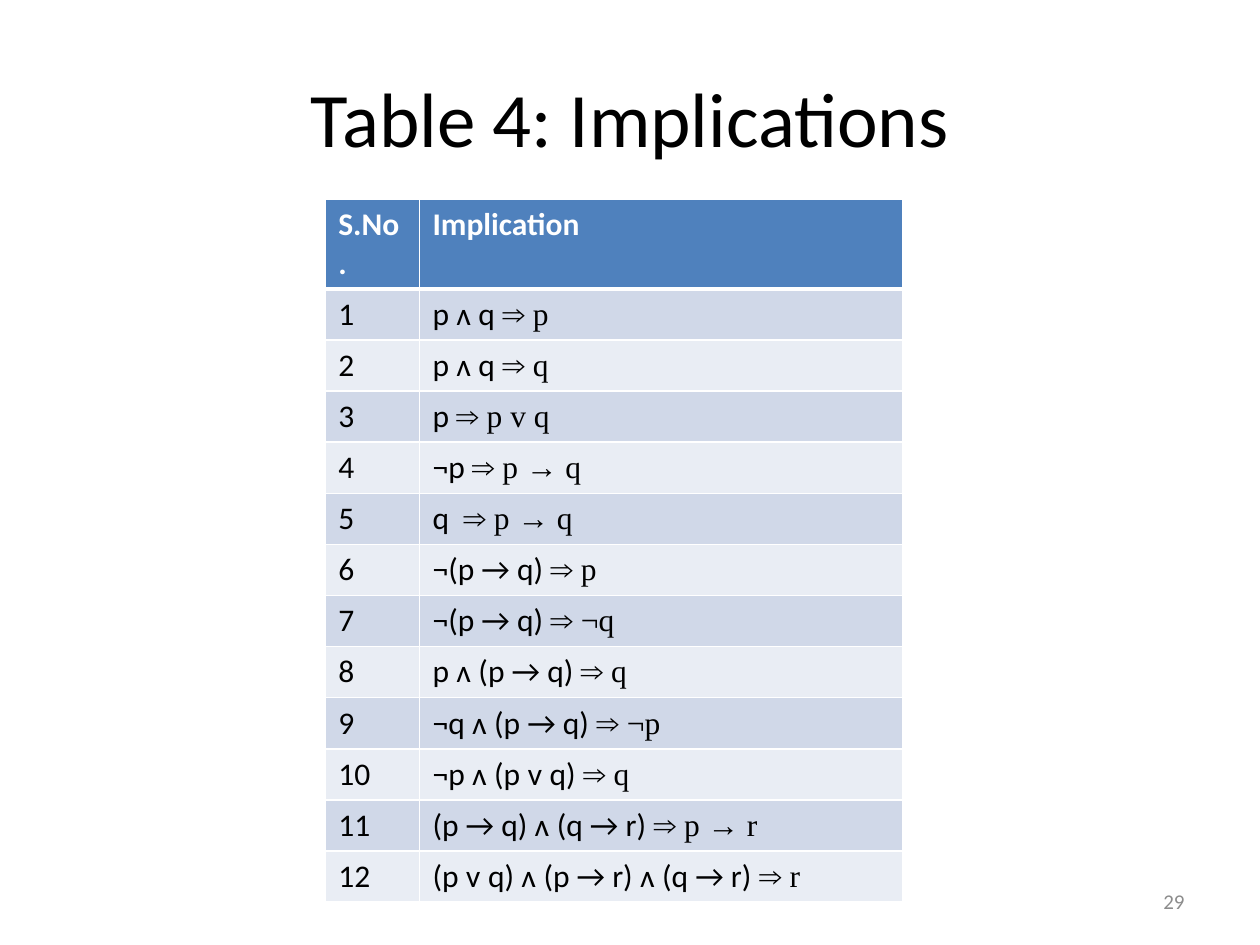
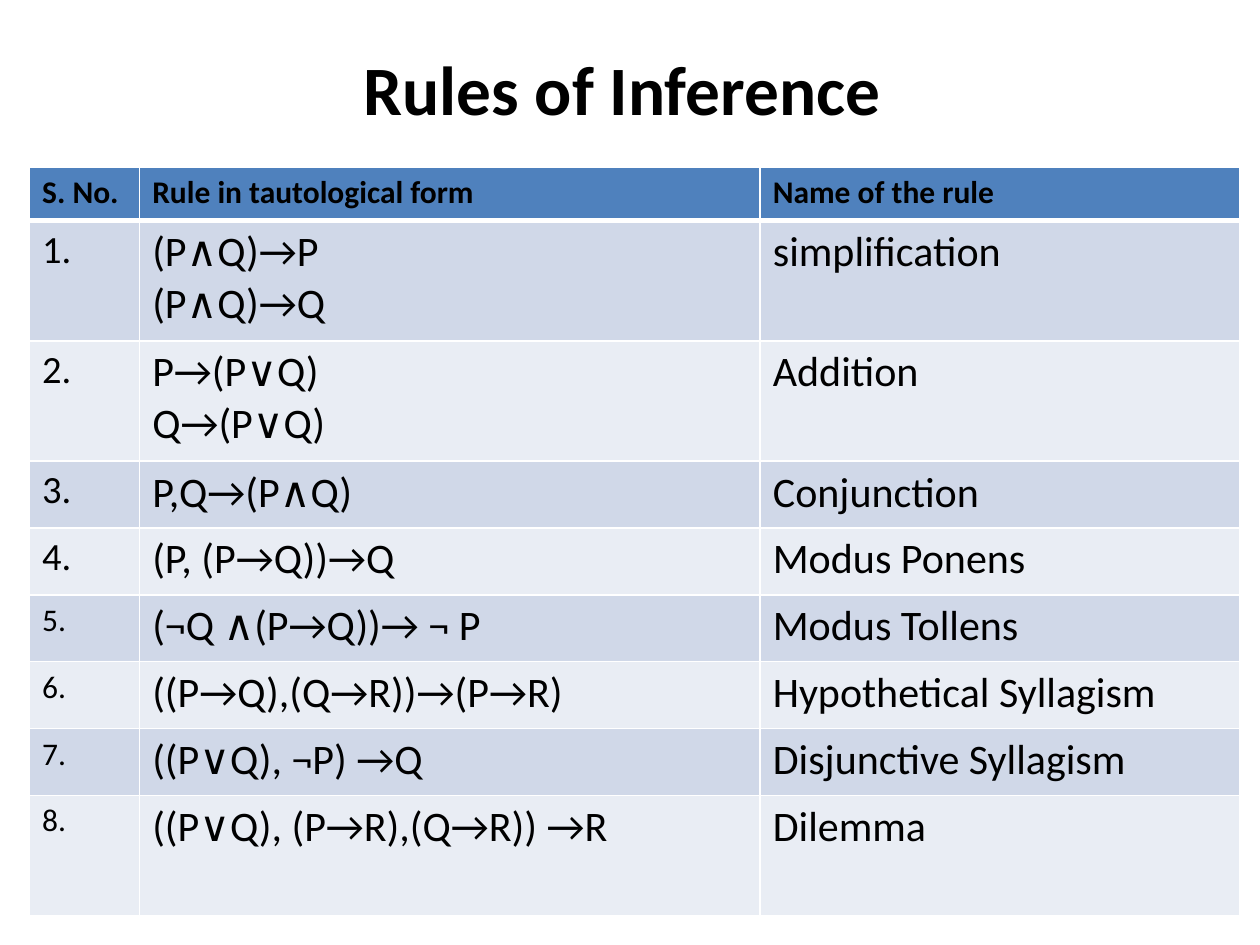
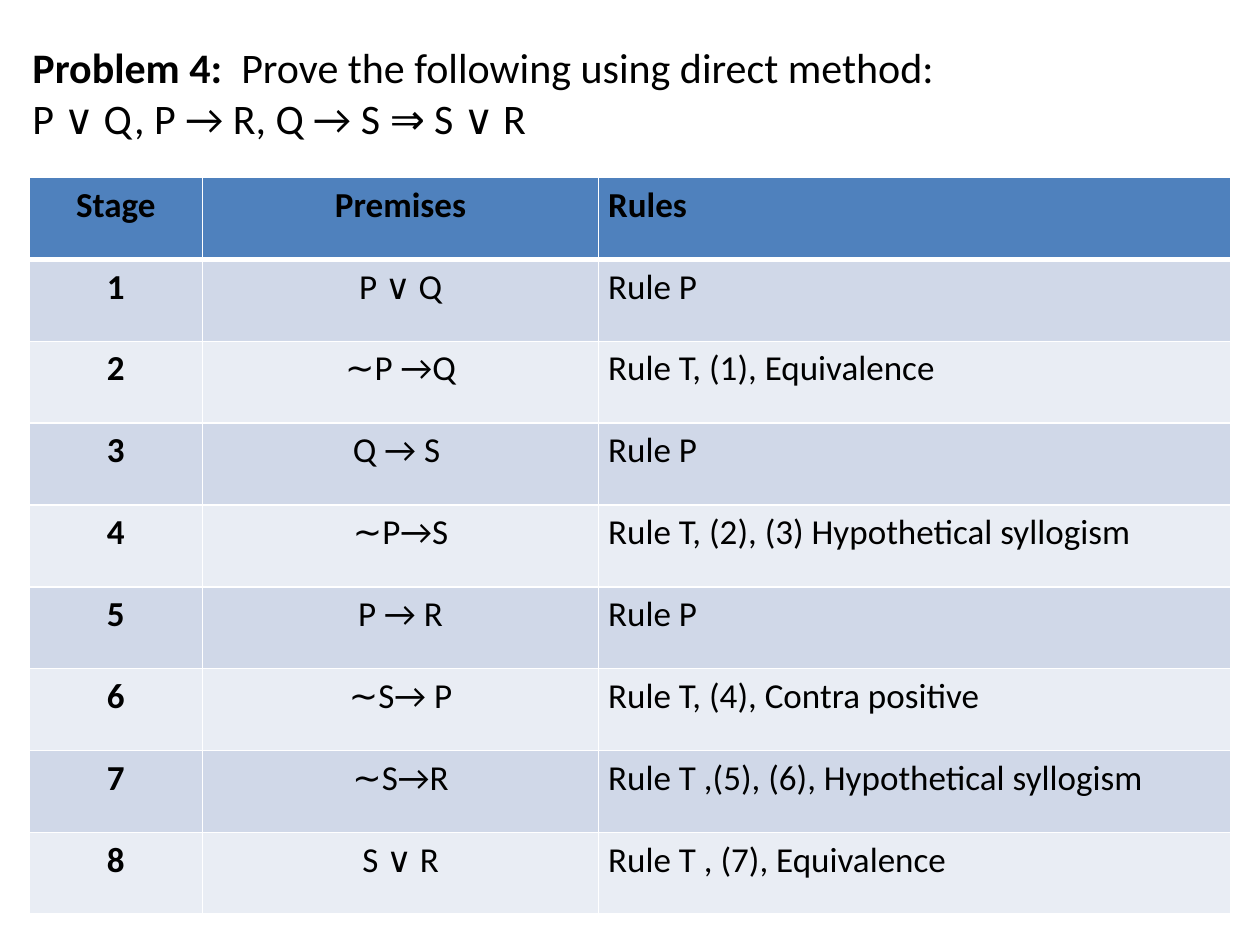
from lxml import etree
from pptx import Presentation
from pptx.dml.color import RGBColor
from pptx.enum.text import MSO_ANCHOR, MSO_AUTO_SIZE, PP_ALIGN
from pptx.oxml.ns import qn
from pptx.util import Cm, Pt

LEFT, CENTER = PP_ALIGN.LEFT, PP_ALIGN.CENTER
RIGHT, JUSTIFY = PP_ALIGN.RIGHT, PP_ALIGN.JUSTIFY
MIDDLE = MSO_ANCHOR.MIDDLE
NO_AUTOFIT = MSO_AUTO_SIZE.NONE

SANS, SERIF = "Calibri", "Times New Roman"
BLACK, WHITE, GREY = "000000", "FFFFFF", "8C8C8C"
HEADER_FILL = "4F81BD"
BAND_FILLS = ("D0D8E8", "E9EDF4")
TITLE_ONLY = 5

IMPLICATIONS = [
    "p ᴧ q ⇒ p",
    "p ᴧ q ⇒ q",
    "p ⇒ p ᴠ q",
    "¬p ⇒ p → q",
    "q  ⇒ p → q",
    "¬(p → q) ⇒ p",
    "¬(p → q) ⇒ ¬q",
    "p ᴧ (p → q) ⇒ q",
    "¬q ᴧ (p → q) ⇒ ¬p",
    "¬p ᴧ (p ᴠ q) ⇒ q",
    "(p → q) ᴧ (q → r) ⇒ p → r",
    "(p ᴠ q) ᴧ (p → r) ᴧ (q → r) ⇒ r",
]

INFERENCE_RULES = [
    ("(P∧Q)→P\n(P∧Q)→Q", "simplification"),
    ("P→(P∨Q)\nQ→(P∨Q)", "Addition"),
    ("P,Q→(P∧Q)", "Conjunction"),
    ("(P, (P→Q))→Q", "Modus Ponens"),
    ("(¬Q ∧(P→Q))→ ¬ P", "Modus Tollens"),
    ("((P→Q),(Q→R))→(P→R)", "Hypothetical Syllagism"),
    ("((P∨Q), ¬P) →Q", "Disjunctive Syllagism"),
    ("((P∨Q), (P→R),(Q→R)) →R", "Dilemma"),
]

PROOF_STEPS = [
    ("P ∨ Q", "Rule P"),
    ("∼P →Q", "Rule T, (1), Equivalence"),
    ("Q → S ", "Rule P"),
    ("∼P→S", "Rule T, (2), (3) Hypothetical syllogism"),
    ("P → R", "Rule P"),
    ("∼S→ P", "Rule T, (4), Contra positive"),
    ("∼S→R", "Rule T ,(5), (6), Hypothetical syllogism"),
    ("S ∨ R", "Rule T , (7), Equivalence"),
]


# Shared helpers
def colour(hex_string):
    return RGBColor.from_string(hex_string)


def add_run(paragraph, text, size, hex_string=BLACK, bold=False, font=SANS):
    run = paragraph.add_run()
    run.text = text
    run.font.size = Pt(size)
    run.font.name = font
    run.font.bold = bold
    run.font.color.rgb = colour(hex_string)


def next_paragraph(text_frame, index, align):
    paragraph = text_frame.paragraphs[0] if index == 0 else text_frame.add_paragraph()
    paragraph.alignment = align
    return paragraph


def add_title_slide(presentation, box, lines, size, align=CENTER):
    """Each title line is a list of (text, bold) runs."""
    slide = presentation.slides.add_slide(presentation.slide_layouts[TITLE_ONLY])
    title = slide.shapes.title
    title.left, title.top, title.width, title.height = (Cm(value) for value in box)
    text_frame = title.text_frame
    text_frame.auto_size = NO_AUTOFIT
    text_frame.vertical_anchor = MIDDLE
    for index, runs in enumerate(lines):
        paragraph = next_paragraph(text_frame, index, align)
        for text, bold in runs:
            add_run(paragraph, text, size, bold=bold)
    return slide


def add_page_number(slide, box, number):
    text_frame = slide.shapes.add_textbox(*(Cm(value) for value in box)).text_frame
    text_frame.word_wrap = True
    text_frame.vertical_anchor = MIDDLE
    add_run(next_paragraph(text_frame, 0, RIGHT), number, 12, GREY)


# Tables
def set_borders(cell, bottom_width):
    properties = cell._tc.get_or_add_tcPr()
    for side, width in (("L", 1), ("R", 1), ("T", 1), ("B", bottom_width)):
        line = etree.SubElement(properties, qn(f"a:ln{side}"), w=str(Pt(width)))
        fill = etree.SubElement(line, qn("a:solidFill"))
        etree.SubElement(fill, qn("a:srgbClr"), val=WHITE)


def fill_cell(cell, text, align, **style):
    for index, line in enumerate(text.split("\n")):
        paragraph = next_paragraph(cell.text_frame, index, align)
        add_run(paragraph, line, **style)


def add_banded_table(slide, left, top, column_widths, row_heights, margin=0.26):
    frame = slide.shapes.add_table(
        len(row_heights), len(column_widths), Cm(left), Cm(top),
        Cm(sum(column_widths)), Cm(sum(row_heights)))
    table = frame.table
    table.horz_banding = False
    for column, width in zip(table.columns, column_widths):
        column.width = Cm(width)
    for index, (row, height) in enumerate(zip(table.rows, row_heights)):
        row.height = Cm(height)
        for cell in row.cells:
            cell.margin_left = cell.margin_right = Cm(margin)
            set_borders(cell, 3 if index == 0 else 1)
            cell.fill.solid()
            cell.fill.fore_color.rgb = colour(
                HEADER_FILL if index == 0 else BAND_FILLS[(index - 1) % 2])
    return table


def fill_header(table, names, aligns, size, hex_string=BLACK):
    for cell, name, align in zip(table.rows[0].cells, names, aligns):
        fill_cell(cell, name, align, size=size, hex_string=hex_string, bold=True)


# Slides
def build_implications(presentation):
    slide = add_title_slide(presentation, (1.27, 0.76, 22.86, 3.18),
                            [[("Table 4: Implications", False)]], 44)
    # The narrow first column wraps its heading onto two lines
    table = add_banded_table(slide, 6.56, 4.02, (1.9, 9.73),
                             [1.79] + [1.03] * len(IMPLICATIONS))
    fill_header(table, ("S.No.", "Implication"), (LEFT, LEFT), 18, WHITE)
    for number, implication in enumerate(IMPLICATIONS, 1):
        fill_cell(table.cell(number, 0), str(number), LEFT, size=18)
        premise, conclusion = implication.split("⇒")
        paragraph = next_paragraph(table.cell(number, 1).text_frame, 0, LEFT)
        add_run(paragraph, premise, 18)
        add_run(paragraph, "⇒" + conclusion, 18, font=SERIF)
    add_page_number(slide, (18.2, 17.65, 5.93, 1.02), "29")


def build_inference_rules(presentation):
    slide = add_title_slide(presentation, (1.27, 0.76, 22.86, 2),
                            [[("Rules of Inference ", True)]], 39.6)
    tall, low = 2.42, 1.35
    table = add_banded_table(slide, 0.59, 3.38, (2.22, 12.51, 9.68),
                             [1.07, tall, tall] + [low] * 5 + [tall])
    fill_header(table, ("S. No.", "Rule in tautological form", "Name of the rule"),
                (LEFT,) * 3, 18)
    for number, (rule, name) in enumerate(INFERENCE_RULES, 1):
        fill_cell(table.cell(number, 0), f"{number}.", LEFT,
                  size=22 if number < 5 else 18)
        fill_cell(table.cell(number, 1), rule, LEFT, size=24)
        fill_cell(table.cell(number, 2), name, LEFT, size=24)


def build_direct_proof(presentation):
    slide = add_title_slide(
        presentation, (0.4, 0.71, 23.72, 2.3),
        [[("Problem 4: ", True), (" Prove the following using direct method:", False)],
         [("P ∨ Q, P → R, Q → S ⇒ S ∨ R", False)]], 24, LEFT)
    table = add_banded_table(slide, 0.59, 3.58, (3.49, 7.99, 12.74),
                             [1.65] * (len(PROOF_STEPS) + 1), margin=0.19)
    aligns = (CENTER, CENTER, JUSTIFY)
    fill_header(table, ("Stage", "Premises", "Rules"), aligns, 20)
    for stage, step in enumerate(PROOF_STEPS, 1):
        for column, text in enumerate((str(stage), *step)):
            fill_cell(table.cell(stage, column), text, aligns[column],
                      size=20, bold=column == 0)


def main():
    presentation = Presentation()
    presentation.slide_width, presentation.slide_height = Cm(25.4), Cm(19.05)
    build_implications(presentation)
    build_inference_rules(presentation)
    build_direct_proof(presentation)
    presentation.save("out.pptx")


if __name__ == "__main__":
    main()
